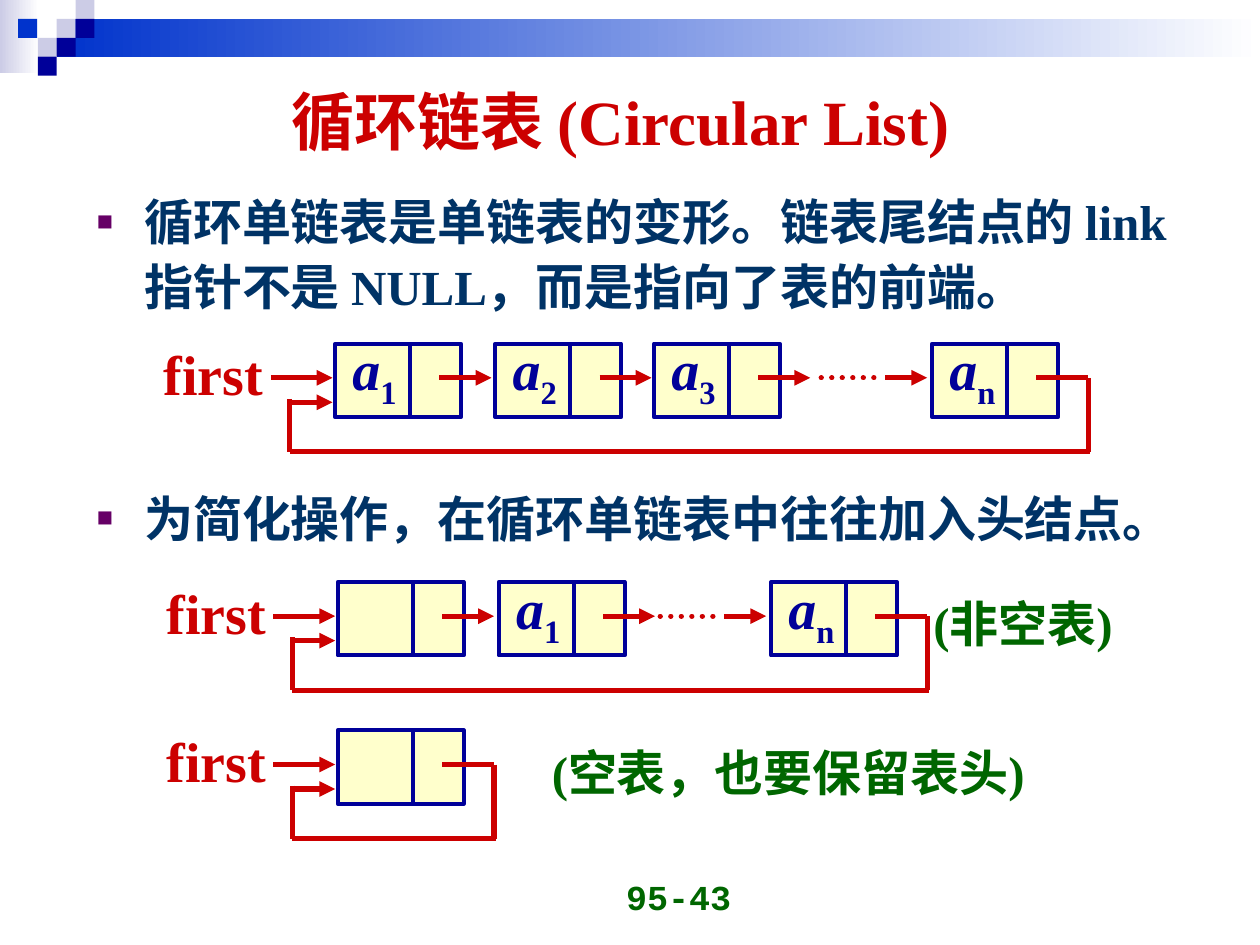
from dataclasses import dataclass

from lxml.etree import SubElement
from pptx import Presentation
from pptx.dml.color import RGBColor
from pptx.enum.dml import MSO_LINE
from pptx.enum.shapes import MSO_CONNECTOR, MSO_SHAPE
from pptx.enum.text import MSO_ANCHOR, MSO_AUTO_SIZE, PP_ALIGN
from pptx.oxml.ns import qn
from pptx.util import Pt


@dataclass(frozen=True)
class Theme:
    serif: str = "Times New Roman"
    mono: str = "Courier New"
    red: str = "CC0000"
    navy: str = "000099"
    blue: str = "0033CC"
    lilac: str = "CCCCE6"
    white: str = "FFFFFF"
    body: str = "003366"
    bullet: str = "660066"
    green: str = "006600"
    cell: str = "FFFFCC"
    title_size: float = 36
    node_size: float = 32
    body_size: float = 28
    number_size: float = 20
    node_line: float = 2.25
    link_line: float = 3


@dataclass(frozen=True)
class Node:
    left: float
    symbol: str = ""
    after_dots: bool = False


@dataclass(frozen=True)
class CircularList:
    top: float
    nodes: tuple[Node, ...]


THEME = Theme()
NODE_WIDTH, NODE_HEIGHT, DIVIDER = 72, 42, 42.8
LINK_START, LINK_END, LINK_DROP = 59.6, 89.3, 19.5
RETURN_LEFT, RETURN_DROP, LOOP_DROP = -26, 33.5, 61.8
SQUARE = 10.8

LISTS = (
    CircularList(196.4, (Node(191.5, "1"), Node(283, "2"), Node(373.7, "3"),
                         Node(532.6, "n", after_dots=True))),
    CircularList(332.6, (Node(193), Node(285, "1"), Node(440.6, "n", after_dots=True))),
    CircularList(417.4, (Node(193),)),
)
SQUARES = (
    (32.4, 10.8, THEME.lilac), (43.2, 0, THEME.lilac), (43.2, 10.8, THEME.navy),
    (21.6, 21.6, THEME.lilac), (10.4, 10.8, THEME.blue),
    (32.4, 21.6, THEME.navy), (21.6, 32.4, THEME.navy),
)


def rgb(color: str) -> RGBColor:
    return RGBColor.from_string(color)


def style(font, size: float, color: str, name: str = THEME.serif) -> None:
    font.name, font.size, font.bold = name, Pt(size), True
    font.color.rgb = rgb(color)


def place(shape, left: float, top: float, width: float, height: float) -> None:
    shape.left, shape.top, shape.width, shape.height = map(Pt, (left, top, width, height))


def add_rectangle(page, left: float, top: float, width: float, height: float):
    box = page.shapes.add_shape(MSO_SHAPE.RECTANGLE, *map(Pt, (left, top, width, height)))
    box.shadow.inherit = False
    box.line.fill.background()
    return box


def add_fade(page, left: float, top: float, width: float, height: float, color: str) -> None:
    fill = add_rectangle(page, left, top, width, height).fill
    fill.gradient()
    fill.gradient_angle = 0
    for stop, position, shade in zip(fill.gradient_stops, (0, 1), (color, THEME.white)):
        stop.position, stop.color.rgb = position, rgb(shade)


def add_line(page, start: tuple[float, float], end: tuple[float, float],
             color: str = THEME.red, weight: float = THEME.link_line,
             arrow: bool = False, dotted: bool = False) -> None:
    line = page.shapes.add_connector(MSO_CONNECTOR.STRAIGHT, *map(Pt, (*start, *end)))
    line.line.color.rgb = rgb(color)
    line.line.width = Pt(weight)
    outline = line.line._get_or_add_ln()
    if dotted:
        line.line.dash_style = MSO_LINE.ROUND_DOT
        outline.set("cap", "rnd")
    if arrow:
        SubElement(outline, qn("a:tailEnd"), type="triangle")
    SubElement(line._element.spPr, qn("a:effectLst"))


def add_label(page, left: float, top: float, width: float, height: float,
              text: str, size: float, color: str, font_name: str = THEME.serif):
    box = page.shapes.add_textbox(*map(Pt, (left, top, width, height)))
    box.text_frame.word_wrap = False
    para = box.text_frame.paragraphs[0]
    para.text = text
    style(para.font, size, color, font_name)
    return box


def add_node(page, node: Node, top: float) -> None:
    box = add_rectangle(page, node.left, top, NODE_WIDTH, NODE_HEIGHT)
    box.fill.solid()
    box.fill.fore_color.rgb = rgb(THEME.cell)
    box.line.color.rgb = rgb(THEME.navy)
    box.line.width = Pt(THEME.node_line)
    divider = node.left + DIVIDER
    add_line(page, (divider, top), (divider, top + NODE_HEIGHT), THEME.navy, THEME.node_line)
    if node.symbol:
        label = add_label(page, node.left + 2.8, top - 8.6, 46, 51, "a",
                          THEME.node_size, THEME.navy)
        para = label.text_frame.paragraphs[0]
        para.runs[0].font.italic = True
        subscript = para.add_run()
        subscript.text = node.symbol
        subscript._r.get_or_add_rPr().set("baseline", "-25000")


def add_circular_list(page, chain: CircularList) -> None:
    first, last = chain.nodes[0].left, chain.nodes[-1].left
    link_y, return_y, loop_y = (chain.top + drop for drop in (LINK_DROP, RETURN_DROP, LOOP_DROP))
    loop_left, loop_right = first + RETURN_LEFT, last + LINK_END
    add_label(page, first - 105, chain.top - 5.8, 76, 46, "first", THEME.node_size, THEME.red)
    for node in chain.nodes:
        add_node(page, node, chain.top)
        add_line(page, (node.left + LINK_START, link_y), (node.left + LINK_END, link_y),
                 arrow=node is not chain.nodes[-1])
        if node.after_dots:
            add_line(page, (node.left - 63.3, link_y), (node.left - 27.3, link_y), dotted=True)
            add_line(page, (node.left - 26.8, link_y), (node.left - 2.8, link_y), arrow=True)
    add_line(page, (first - 36.7, link_y), (first - 1.5, link_y), arrow=True)
    add_line(page, (loop_left, return_y), (first - 1.5, return_y), arrow=True)
    add_line(page, (loop_left, return_y - 2), (loop_left, loop_y))
    add_line(page, (loop_left, loop_y), (loop_right + 1, loop_y))
    add_line(page, (loop_right, link_y), (loop_right, loop_y))


def add_banner(page) -> None:
    add_fade(page, 0, 0, 22.3, 41.8, THEME.lilac)
    add_fade(page, 32.4, 10.8, 687.6, 21.6, THEME.blue)
    for left, top, color in SQUARES:
        square = add_rectangle(page, left, top, SQUARE, SQUARE)
        square.fill.solid()
        square.fill.fore_color.rgb = rgb(color)


def fill_title(title) -> None:
    place(title, 54, 35.5, 601.2, 66.2)
    title.text_frame.auto_size = MSO_AUTO_SIZE.NONE
    title.text_frame.vertical_anchor = MSO_ANCHOR.MIDDLE
    para = title.text_frame.paragraphs[0]
    para.text = "循环链表 (Circular List)"
    para.alignment = PP_ALIGN.CENTER
    style(para.font, THEME.title_size, THEME.red)


def fill_body(body) -> None:
    place(body, 48.2, 102.5, 635.8, 224)
    frame = body.text_frame
    frame.auto_size = MSO_AUTO_SIZE.NONE
    frame.text = ("循环单链表是单链表的变形。链表尾结点的 link 指针不是 NULL，而是指向了表的前端。\n"
                  "为简化操作，在循环单链表中往往加入头结点。")
    for para, space in zip(frame.paragraphs, (0, 95.5)):
        properties = para._p.get_or_add_pPr()
        properties.set("marL", str(Pt(27)))
        properties.set("indent", str(Pt(-27)))
        SubElement(SubElement(properties, qn("a:buClr")), qn("a:srgbClr"), val=THEME.bullet)
        SubElement(properties, qn("a:buSzPct"), val="55000")
        SubElement(properties, qn("a:buChar"), char="■")
        para.line_spacing = 1.1
        para.space_before = Pt(space)
        style(para.font, THEME.body_size, THEME.body)


def main() -> None:
    deck = Presentation()
    deck.slide_width, deck.slide_height = Pt(720), Pt(540)
    page = deck.slides.add_slide(deck.slide_layouts[1])
    add_banner(page)
    fill_title(page.shapes.title)
    fill_body(page.placeholders[1])
    for chain in LISTS:
        add_circular_list(page, chain)
    add_label(page, 308.2, 420.5, 298, 41, "(空表，也要保留表头)", THEME.body_size, THEME.green)
    add_label(page, 526.3, 335.5, 130.3, 41, "(非空表)", THEME.body_size, THEME.green)
    number = add_label(page, 257, 491.8, 168, 36, "95-43",
                       THEME.number_size, THEME.green, THEME.mono)
    number.text_frame.word_wrap = True
    number.text_frame.vertical_anchor = MSO_ANCHOR.BOTTOM
    number.text_frame.paragraphs[0].alignment = PP_ALIGN.RIGHT
    deck.save("out.pptx")


if __name__ == "__main__":
    main()
